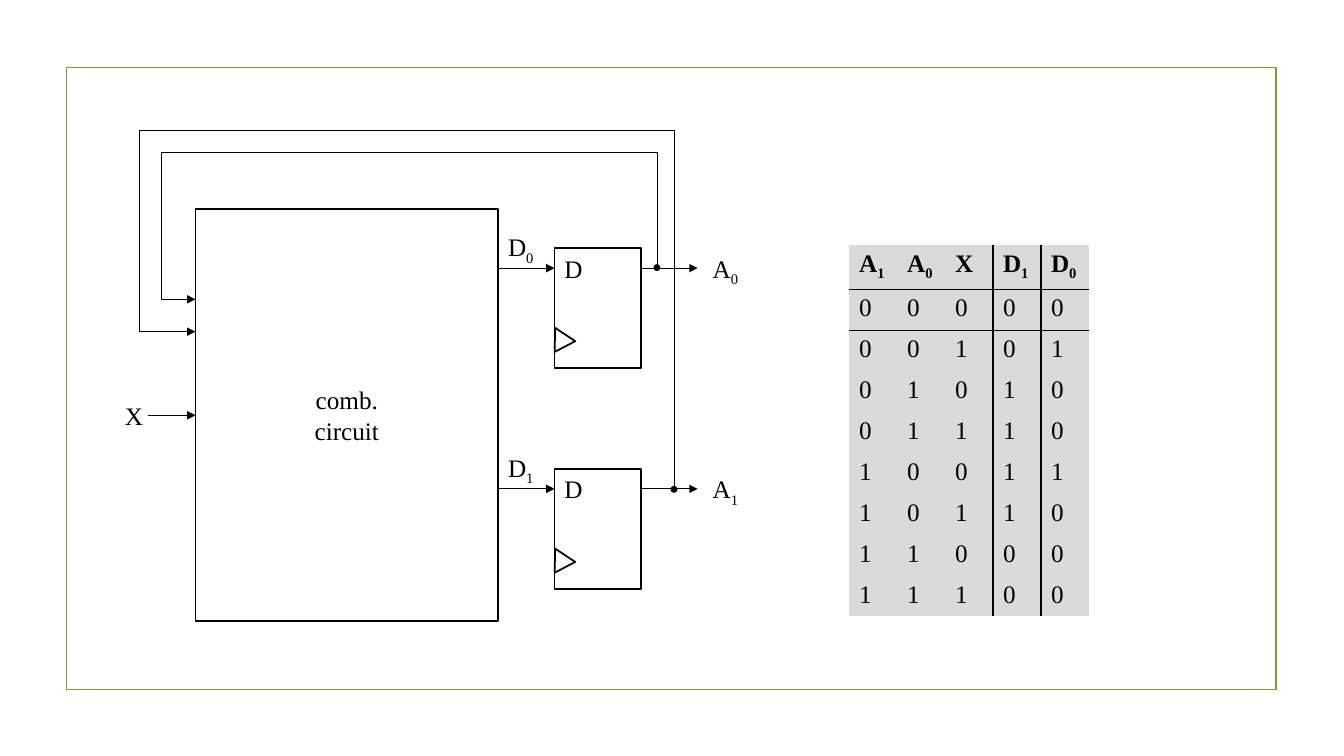
from dataclasses import dataclass

from lxml import etree
from pptx import Presentation, util as u
from pptx.dml.color import RGBColor
from pptx.enum import shapes, text
from pptx.oxml import ns

COLORS = {"ink": "000000", "frame": "83992A", "cell": "DADADA"}
FONT = "Times New Roman"
PRESET = shapes.MSO_SHAPE


@dataclass
class Label:
    name: str
    left: float
    top: float
    width: float
    subscript: str = ""


@dataclass
class Wire:
    start: tuple[float, float]
    end: tuple[float, float]
    arrow: bool = True
    elbow: bool = False


def color(name: str) -> RGBColor:
    return RGBColor.from_string(COLORS[name])


def child(parent, tag: str, **attributes: str):
    return etree.SubElement(parent, ns.qn(tag), attributes)


def write(text_frame, content: str, subscript: str = "", bold: bool = False) -> None:
    text_frame.text = content
    if subscript:
        run = text_frame.paragraphs[0].add_run()
        run.text = subscript
        run._r.get_or_add_rPr().set("baseline", "-25000")
    for paragraph in text_frame.paragraphs:
        for run in paragraph.runs:
            run.font.name = FONT
            run.font.size = u.Pt(18)
            run.font.bold = bold
            run.font.color.rgb = color("ink")


def add_outline(slide, preset, left: float, top: float, width: float, height: float,
                line: str = "ink", fill: str = ""):
    shape = slide.shapes.add_shape(preset, u.Inches(left), u.Inches(top),
                                   u.Inches(width), u.Inches(height))
    shape.shadow.inherit = False
    if fill:
        shape.fill.solid()
        shape.fill.fore_color.rgb = color(fill)
    else:
        shape.fill.background()
    shape.line.color.rgb = color(line)
    shape.line.width = u.Pt(1.25)
    return shape


def add_label(slide, label: Label) -> None:
    box = slide.shapes.add_textbox(u.Inches(label.left), u.Inches(label.top),
                                   u.Inches(label.width), u.Inches(0.4))
    box.text_frame.word_wrap = False
    box.text_frame.auto_size = text.MSO_AUTO_SIZE.SHAPE_TO_FIT_TEXT
    write(box.text_frame, label.name, label.subscript)


def add_wire(slide, wire: Wire) -> None:
    kind = shapes.MSO_CONNECTOR.ELBOW if wire.elbow else shapes.MSO_CONNECTOR.STRAIGHT
    connector = slide.shapes.add_connector(
        kind, *(u.Inches(value) for value in wire.start + wire.end))
    connector.line.color.rgb = color("ink")
    connector.line.width = u.Pt(0.75)
    properties = connector._element.spPr
    child(properties, "a:effectLst")
    if wire.arrow:
        child(properties.find(ns.qn("a:ln")), "a:tailEnd", type="triangle")
    if wire.elbow:
        # Turn at the starting point: vertical first, then horizontal
        geometry = properties.find(ns.qn("a:prstGeom"))
        guides = geometry.find(ns.qn("a:avLst"))
        if guides is None:
            guides = child(geometry, "a:avLst")
        child(guides, "a:gd", name="adj1", fmla="val 0")


def add_border(cell, side: str) -> None:
    line = child(cell._tc.get_or_add_tcPr(), f"a:ln{side}", w="12700")
    child(child(line, "a:solidFill"), "a:srgbClr", val=COLORS["ink"])


def add_flip_flop(slide, top: float, index: str) -> None:
    add_outline(slide, PRESET.RECTANGLE, 5.5, top, 0.86, 1.19)
    clock = add_outline(slide, PRESET.ISOSCELES_TRIANGLE, 5.44, top + 0.78, 0.23, 0.21)
    clock.rotation = 332.3
    for label in (Label("D", 5.5, top, 0.4),
                  Label("D", 4.94, top - 0.21, 0.48, index),
                  Label("A", 6.97, top, 0.45, index)):
        add_label(slide, label)
    for left, right in ((4.94, 5.5), (6.36, 6.92)):
        add_wire(slide, Wire((left, top + 0.2), (right, top + 0.2)))


def add_truth_table(slide) -> None:
    header = ("A1", "A0", "X", "D1", "D0")
    outputs = ("00", "01", "10", "10", "11", "10", "00", "00")
    rows = [header] + [f"{state:03b}{output}" for state, output in enumerate(outputs)]
    table = slide.shapes.add_table(len(rows), len(header), u.Inches(8.42), u.Inches(2.43),
                                   u.Inches(2.38), u.Inches(3.65)).table
    table.first_row = table.horz_banding = False
    style = table._tbl.tblPr.find(ns.qn("a:tableStyleId"))
    style.text = "{2D5ABB26-0587-4C30-8999-92F81FD0307C}"
    for row, values in enumerate(rows):
        for column, value in enumerate(values):
            cell = table.cell(row, column)
            write(cell.text_frame, value[0], value[1:], bold=row == 0)
            # Rules separate inputs from outputs and header from values
            sides = {"L": column == 3, "R": column == 2, "T": row == 1, "B": row == 0}
            for side, drawn in sides.items():
                if drawn:
                    add_border(cell, side)
            cell.fill.solid()
            cell.fill.fore_color.rgb = color("cell")


def main() -> None:
    presentation = Presentation()
    presentation.slide_width = u.Inches(13.33)
    presentation.slide_height = u.Inches(7.5)
    slide = presentation.slides.add_slide(presentation.slide_layouts[6])

    # Slide frame
    add_outline(slide, PRESET.RECTANGLE, 0.66, 0.67, 12, 6.17, line="frame")

    # Combinational circuit and its input
    circuit = add_outline(slide, PRESET.RECTANGLE, 1.94, 2.07, 3, 4.09)
    write(circuit.text_frame, "comb.\ncircuit")
    circuit.text_frame.vertical_anchor = text.MSO_ANCHOR.MIDDLE
    for paragraph in circuit.text_frame.paragraphs:
        paragraph.alignment = text.PP_ALIGN.CENTER
    add_label(slide, Label("X", 1.14, 3.92, 0.38))
    add_wire(slide, Wire((1.47, 4.12), (1.94, 4.12)))

    # Flip-flops
    for top, index in ((2.46, "0"), (4.65, "1")):
        add_flip_flop(slide, top, index)

    # Feedback: junction, corner above the circuit, height of the circuit input
    for junction, corner, entry in (((6.52, 2.66), (1.6, 1.51), 2.97),
                                    ((6.69, 4.86), (1.38, 1.3), 3.29)):
        add_wire(slide, Wire(junction, corner, arrow=False, elbow=True))
        add_wire(slide, Wire(corner, (1.94, entry), elbow=True))
        add_outline(slide, PRESET.OVAL, junction[0] - 0.03, junction[1] - 0.03,
                    0.05, 0.05, fill="ink")

    # Truth table
    add_truth_table(slide)

    presentation.save("out.pptx")


if __name__ == "__main__":
    main()
